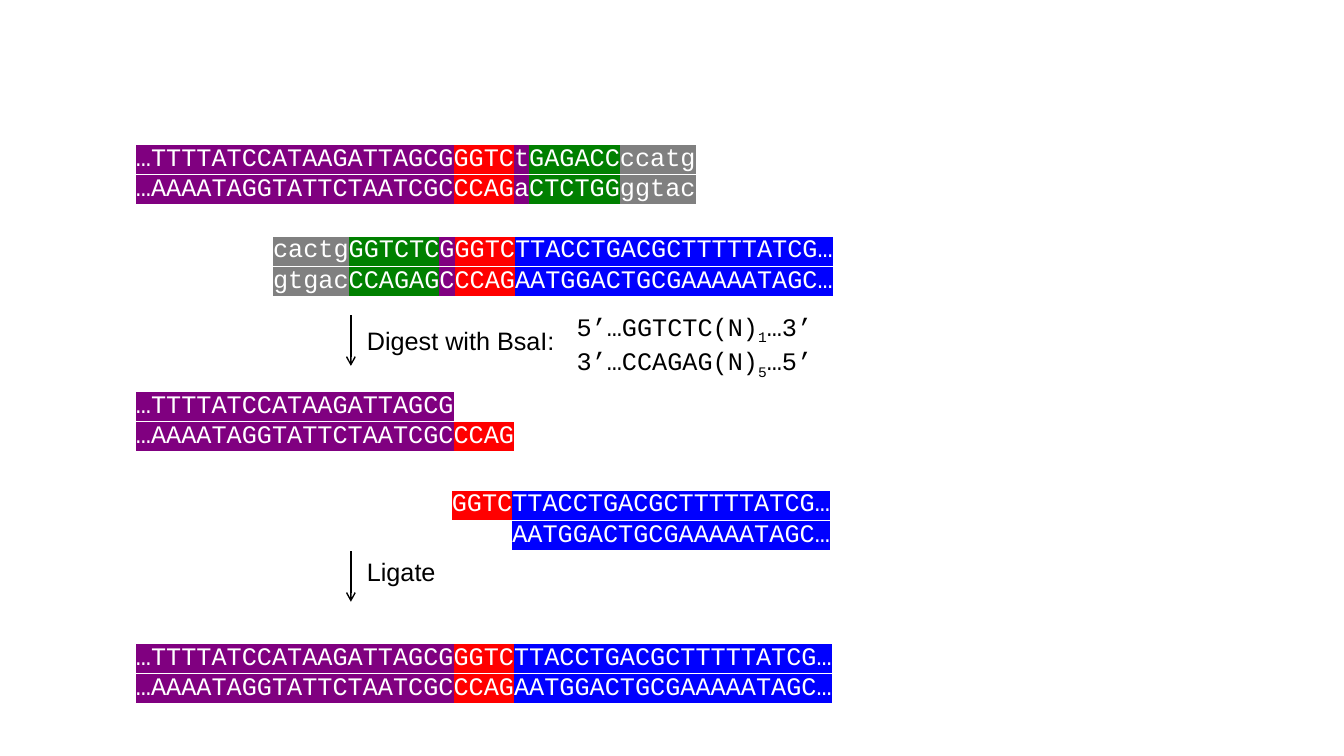
"""Build a slide showing Golden Gate style digestion and ligation of two DNA ends."""
from lxml import etree
from pptx import Presentation
from pptx.dml.color import RGBColor
from pptx.enum.shapes import MSO_CONNECTOR
from pptx.enum.text import MSO_AUTO_SIZE, PP_ALIGN
from pptx.oxml.ns import qn
from pptx.util import Inches, Pt

STRAIGHT = MSO_CONNECTOR.STRAIGHT
GROW = MSO_AUTO_SIZE.SHAPE_TO_FIT_TEXT
LEFT, RIGHT = PP_ALIGN.LEFT, PP_ALIGN.RIGHT

BLACK = RGBColor(0x00, 0x00, 0x00)
WHITE = RGBColor(0xFF, 0xFF, 0xFF)
PURPLE = RGBColor(0x80, 0x00, 0x80)
RED = RGBColor(0xFF, 0x00, 0x00)
GREEN = RGBColor(0x00, 0x80, 0x00)
GRAY = RGBColor(0x80, 0x80, 0x80)
BLUE = RGBColor(0x00, 0x00, 0xFF)

MONO, SANS = "Courier New", "Arial"


def add_text(s, left, top, width, height, lines, font, color, wrap, align=LEFT):
    """Add a text box from lines of (text, highlight, baseline) runs."""
    sp = s.shapes.add_textbox(Inches(left), Inches(top), Inches(width), Inches(height))
    tf = sp.text_frame
    tf.word_wrap = wrap
    tf.auto_size = GROW
    for i, line in enumerate(lines):
        p = tf.add_paragraph() if i else tf.paragraphs[0]
        p.alignment = align
        for text, highlight, baseline in line:
            r = p.add_run()
            r.text = text
            r.font.size = Pt(18)
            r.font.name = font
            r.font.color.rgb = color
            rPr = r._r.get_or_add_rPr()
            if baseline:
                rPr.set("baseline", str(baseline))
            if highlight is not None:
                mark = etree.Element(qn("a:highlight"))
                etree.SubElement(mark, qn("a:srgbClr"), val=str(highlight))
                rPr.find(qn("a:solidFill")).addnext(mark)


prs = Presentation()
prs.slide_width = Inches(13.33)
prs.slide_height = Inches(7.5)
s = prs.slides.add_slide(prs.slide_layouts[6])

left_end = ("…TTTTATCCATAAGATTAGCG", "…AAAATAGGTATTCTAATCGC", PURPLE)
right_end = ("TTACCTGACGCTTTTTATCG…", "AATGGACTGCGAAAAATAGC…", BLUE)
overhang = ("GGTC", "CCAG", RED)

duplexes = [
    (1.25, 1.35, 7.42, True, LEFT,
     [left_end, overhang, ("t", "a", PURPLE), ("GAGACC", "CTCTGG", GREEN),
      ("ccatg", "ggtac", GRAY)]),
    (2.61, 2.26, 5.78, False, LEFT,
     [("cactg", "gtgac", GRAY), ("GGTCTC", "CCAGAG", GREEN), ("G", "C", PURPLE),
      overhang, right_end]),
    (1.25, 3.8, 7.42, True, LEFT, [left_end, ("", "CCAG", RED)]),
    (4.36, 4.78, 3.97, False, RIGHT, [("GGTC", "", RED), right_end]),
    (1.25, 6.3, 7.42, True, LEFT, [left_end, overhang, right_end]),
]
for left, top, width, wrap, align, segments in duplexes:
    strands = [[(seg[n], seg[2], 0) for seg in segments if seg[n]] for n in (0, 1)]
    add_text(s, left, top, width, 0.71, strands, MONO, WHITE, wrap, align)

steps = [("Digest with BsaI:", 3.13, 3.18, 2.08), ("Ligate", 5.47, 5.47, 0.89)]
for label, arrow_top, label_top, width in steps:
    arrow = s.shapes.add_connector(
        STRAIGHT, Inches(3.48), Inches(arrow_top), Inches(3.48), Inches(arrow_top + 0.5))
    arrow.line.color.rgb = BLACK
    arrow.line.width = Pt(1)
    etree.SubElement(arrow.line._get_or_add_ln(), qn("a:tailEnd"), type="arrow")
    etree.SubElement(arrow._element.spPr, qn("a:effectLst"))
    add_text(s, 3.54, label_top, width, 0.4, [[(label, None, 0)]], SANS, BLACK, False)

site = [("5’…GGTCTC(N)", "1", "…3’"), ("3’…CCAGAG(N)", "5", "…5’")]
site_lines = [[(start, None, 0), (count, None, -25000), (end, None, 0)]
              for start, count, end in site]
add_text(s, 5.62, 3.04, 3.36, 0.71, site_lines, MONO, BLACK, True)

prs.save("out.pptx")
